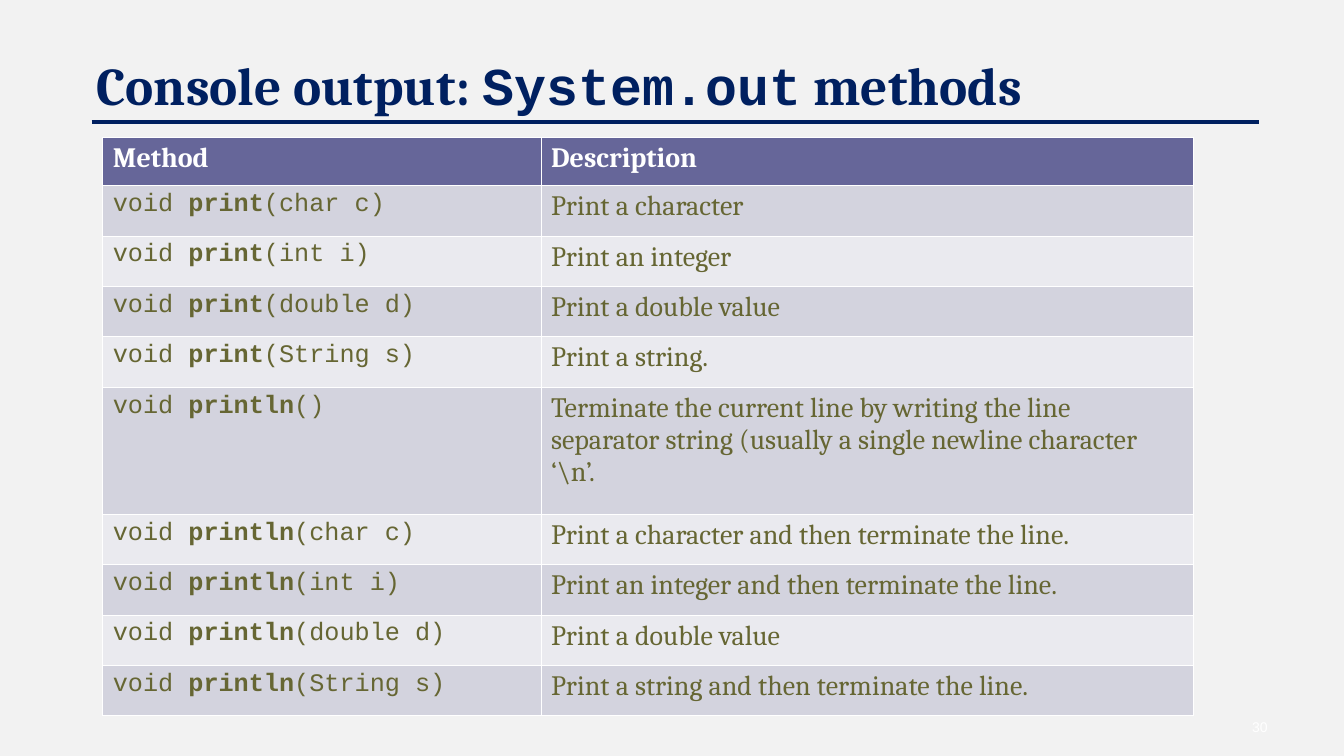
from lxml.etree import SubElement
from pptx import Presentation
from pptx.dml.color import RGBColor
from pptx.enum.shapes import MSO_CONNECTOR
from pptx.enum.text import MSO_ANCHOR, PP_ALIGN
from pptx.oxml.ns import qn
from pptx.util import Inches, Pt

COLORS = {
    "background": "F2F2F2",
    "navy": "002060",
    "header": "666699",
    "odd_row": "D3D3DE",
    "even_row": "EAEAEF",
    "olive": "666633",
    "white": "FFFFFF",
}
SERIF, MONO = "Cambria", "Courier New"


def add_text(paragraph, text, size=20, font=SERIF, color="olive", bold=False):
    run = paragraph.add_run()
    run.text = text
    run.font.size = Pt(size)
    run.font.name = font
    run.font.bold = bold
    run.font.color.rgb = RGBColor.from_string(COLORS[color])


def style_cell(cell, fill, top=0.45, bottom=0.45):
    # Borders must come before the fill in the cell properties
    properties = cell._tc.get_or_add_tcPr()
    for side, width in (("L", 0.45), ("R", 0.45), ("T", top), ("B", bottom)):
        border = SubElement(properties, qn(f"a:ln{side}"), w=str(Pt(width)))
        solid = SubElement(border, qn("a:solidFill"))
        SubElement(solid, qn("a:srgbClr"), val=COLORS["white"])
    cell.fill.solid()
    cell.fill.fore_color.rgb = RGBColor.from_string(COLORS[fill])


prs = Presentation()
prs.slide_width, prs.slide_height = Inches(13.34), Inches(7.5)
slide = prs.slides.add_slide(prs.slide_layouts[5])
slide.background.fill.solid()
slide.background.fill.fore_color.rgb = RGBColor.from_string(COLORS["background"])

# Title
title = slide.shapes.title
title.left, title.top = Inches(0.86), Inches(0.4)
title.width, title.height = Inches(9.54), Inches(0.8)
title.text_frame.vertical_anchor = MSO_ANCHOR.BOTTOM
title.text_frame.word_wrap = True
heading = title.text_frame.paragraphs[0]
heading.alignment = PP_ALIGN.LEFT
heading.line_spacing = 0.8
for text, font in (("Console output: ", SERIF), ("System.out", MONO), (" methods", SERIF)):
    add_text(heading, text, size=38, font=font, color="navy", bold=True)

# Method table
methods = [
    ("print", "(char c)", "Print a character"),
    ("print", "(int i)", "Print an integer"),
    ("print", "(double d)", "Print a double value"),
    ("print", "(String s)", "Print a string."),
    ("println", "()", "Terminate the current line by writing the line separator string "
                      "(usually a single newline character ‘\\n’."),
    ("println", "(char c)", "Print a character and then terminate the line."),
    ("println", "(int i)", "Print an integer and then terminate the line."),
    ("println", "(double d)", "Print a double value"),
    ("println", "(String s)", "Print a string and then terminate the line."),
]
method_table = slide.shapes.add_table(
    len(methods) + 1, 2, Inches(1.02), Inches(1.36), Inches(10.82), Inches(5.71)).table
method_table.columns[0].width = Inches(4.35)
method_table.columns[1].width = Inches(6.47)

method_table.rows[0].height = Inches(0.48)
for column, label in enumerate(("Method", "Description")):
    header_cell = method_table.cell(0, column)
    add_text(header_cell.text_frame.paragraphs[0], label, color="white", bold=True)
    style_cell(header_cell, "header", bottom=1.47)

for row, (name, arguments, description) in enumerate(methods, start=1):
    method_table.rows[row].height = Inches(1.26 if arguments == "()" else 0.5)
    signature_cell, description_cell = method_table.rows[row].cells
    signature = signature_cell.text_frame.paragraphs[0]
    for text, bold in (("void ", False), (name, True), (arguments, False)):
        add_text(signature, text, size=18, font=MONO, bold=bold)
    add_text(description_cell.text_frame.paragraphs[0], description)
    for cell in (signature_cell, description_cell):
        style_cell(cell, "odd_row" if row % 2 else "even_row", top=1.47 if row == 1 else 0.45)

# Rule under the title
title_rule = slide.shapes.add_connector(
    MSO_CONNECTOR.STRAIGHT, Inches(0.91), Inches(1.21), Inches(12.5), Inches(1.21))
title_rule.line.color.rgb = RGBColor.from_string(COLORS["navy"])
title_rule.line.width = Pt(2.25)
SubElement(title_rule._element.spPr, qn("a:effectLst"))

# Page number
page_number = slide.shapes.add_textbox(Inches(11.88), Inches(7.06), Inches(0.8), Inches(0.3))
page_number.text_frame.word_wrap = True
page_number.text_frame.vertical_anchor = MSO_ANCHOR.MIDDLE
page_paragraph = page_number.text_frame.paragraphs[0]
page_paragraph.alignment = PP_ALIGN.RIGHT
add_text(page_paragraph, "30", size=10, font="Arial", color="white")

prs.save("out.pptx")
